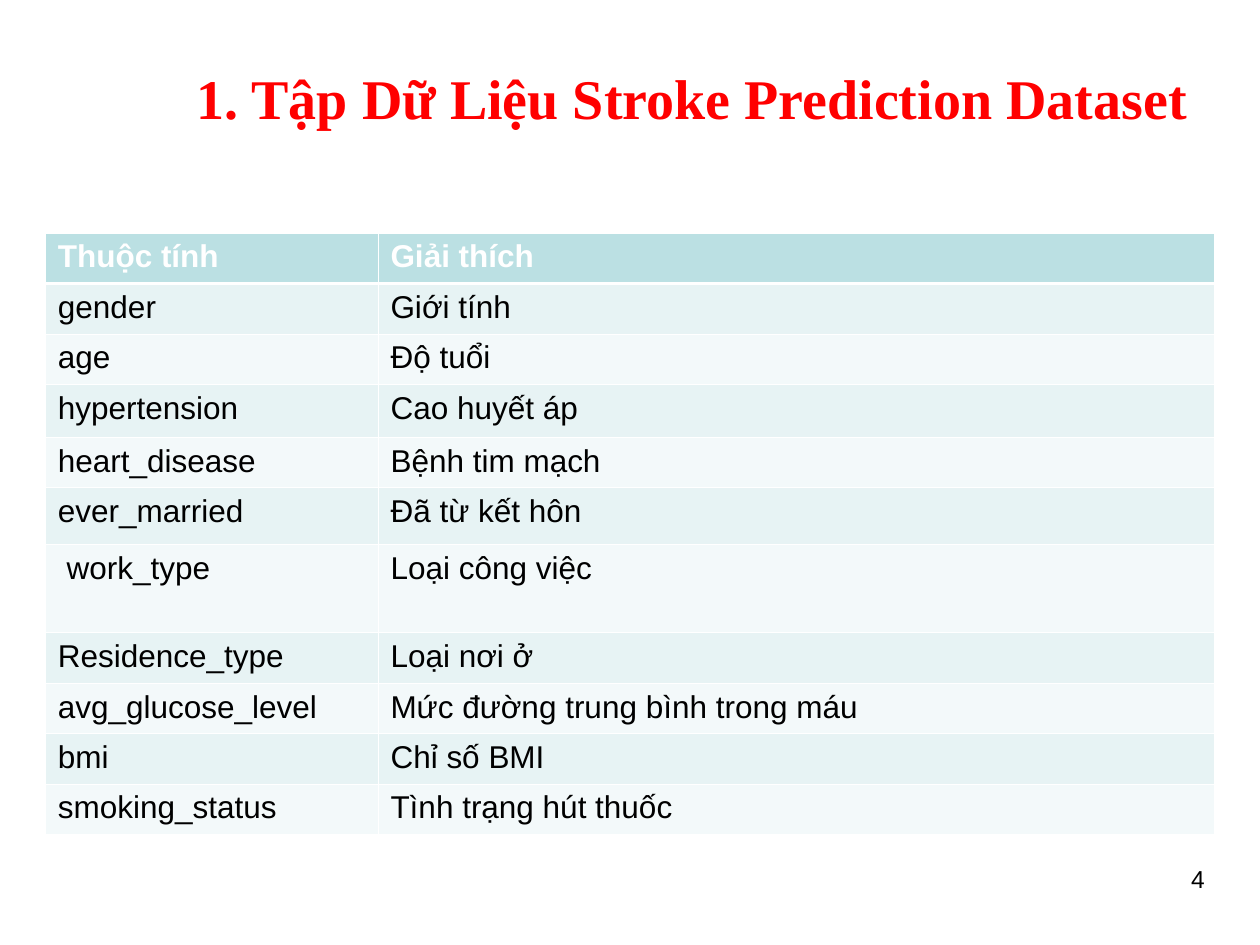
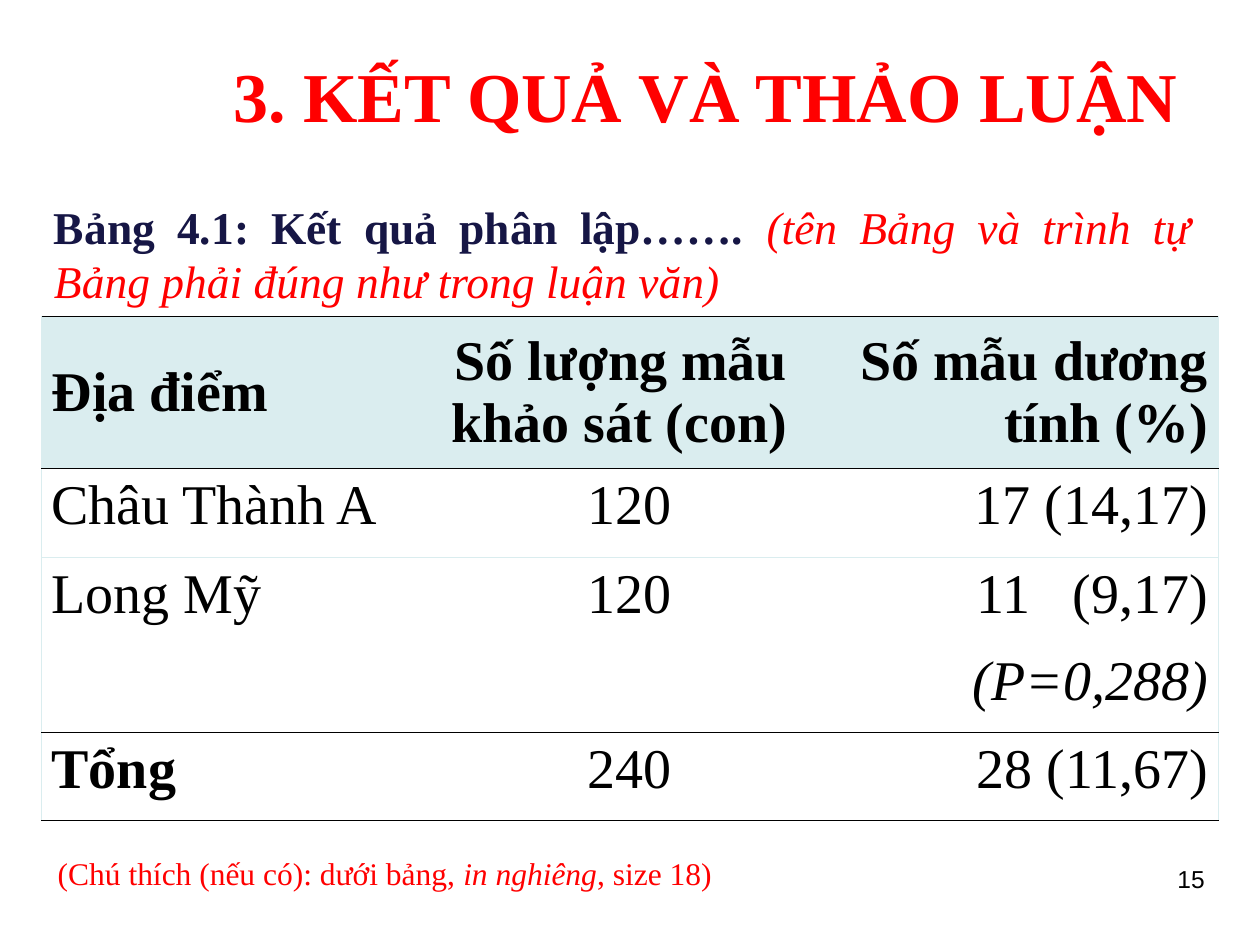
import lxml.etree
import pptx
import pptx.dml.color
import pptx.enum.text
import pptx.oxml.ns
import pptx.util

HUES = {"red": "FF0000", "navy": "161645", "black": "000000", "white": "FFFFFF",
        "teal": "BBE0E3", "mint": "E7F3F4", "ice": "F3F9FA", "pale": "DAEDEF"}
SERIF, SANS = "Times New Roman", "Arial"
ALIGN = pptx.enum.text.PP_ALIGN
ANCHOR = pptx.enum.text.MSO_ANCHOR
COLS, ROWS = 100, 75


def hue(name):
    return pptx.dml.color.RGBColor.from_string(HUES[name])


def write(frame, text, align=ALIGN.LEFT, **style):
    """Fill a frame with one paragraph; text is a string or (string, style changes) pairs."""
    para = frame.paragraphs[0]
    para.alignment = align
    for words, change in [(text, {})] if isinstance(text, str) else text:
        look = {"font": SERIF, "size": 18, "color": "black", **style, **change}
        run = para.add_run()
        run.text = words
        run.font.name = look["font"]
        run.font.size = pptx.util.Pt(look["size"])
        run.font.bold = look.get("bold", False)
        run.font.italic = look.get("slant", False)
        run.font.color.rgb = hue(look["color"])
        if "space" in look:
            run.font._element.set("spc", str(look["space"] * 100))


class Deck:
    """Holds the file and the current slide; lengths are grid columns and rows."""

    def __init__(self):
        self.file = pptx.Presentation()
        self.file.slide_width = pptx.util.Inches(10)
        self.file.slide_height = pptx.util.Inches(7.5)

    def wide(self, cols):
        return round(self.file.slide_width * cols / COLS)

    def high(self, rows):
        return round(self.file.slide_height * rows / ROWS)

    def place(self, left, top, width, height):
        return self.wide(left), self.high(top), self.wide(width), self.high(height)

    def start(self, title, area, size, number, wrap=True):
        """Add a slide with its title and page number."""
        self.slide = self.file.slides.add_slide(self.file.slide_layouts[5])
        head = self.slide.shapes.title
        head.left, head.top, head.width, head.height = self.place(*area)
        frame = head.text_frame
        frame.auto_size = pptx.enum.text.MSO_AUTO_SIZE.NONE
        frame.vertical_anchor = ANCHOR.TOP
        frame.word_wrap = wrap
        write(frame, title, ALIGN.CENTER, size=size, color="red", bold=True)
        self.box(number, (73.3, 68.1, 23.3, 6.1), align=ALIGN.RIGHT, font=SANS, size=14)

    def box(self, text, area, wrap=True, **style):
        frame = self.slide.shapes.add_textbox(*self.place(*area)).text_frame
        frame.word_wrap = wrap
        write(frame, text, **style)

    def table(self, left, top, widths, heights, across, down):
        """Add a bare table; across and down list the (color, points) lines or None."""
        area = self.place(left, top, sum(widths), sum(heights))
        grid = self.slide.shapes.add_table(len(heights), len(widths), *area).table
        grid.first_row = grid.horz_banding = False
        for col, width in zip(grid.columns, widths):
            col.width = self.wide(width)
        for row, height in zip(grid.rows, heights):
            row.height = self.high(height)
        for r in range(len(heights)):
            for c in range(len(widths)):
                sides = {"lnL": down[c], "lnR": down[c + 1],
                         "lnT": across[r], "lnB": across[r + 1]}
                for side, line in sides.items():
                    self.edge(grid.cell(r, c), side, line)
        return grid

    def edge(self, cell, side, line):
        name = pptx.oxml.ns.qn
        node = lxml.etree.SubElement(cell._tc.get_or_add_tcPr(), name(f"a:{side}"))
        if line is None:
            lxml.etree.SubElement(node, name("a:noFill"))
            return
        color, points = line
        node.set("w", str(pptx.util.Pt(points)))
        fill = lxml.etree.SubElement(node, name("a:solidFill"))
        lxml.etree.SubElement(fill, name("a:srgbClr")).set("val", HUES[color])

    def cell(self, cell, text, fill, pad=1, right=None, anchor=ANCHOR.TOP, **style):
        cell.fill.solid()
        cell.fill.fore_color.rgb = hue(fill)
        cell.margin_left = self.wide(pad)
        cell.margin_right = self.wide(pad if right is None else right)
        cell.vertical_anchor = anchor
        if text:
            write(cell.text_frame, text, **style)


def data(deck):
    deck.start("1. Tập Dữ Liệu Stroke Prediction Dataset", (14, 4.5, 81.9, 6.4), 32, "4")
    fields = [("Thuộc tính", "Giải thích"), ("gender", "Giới tính"), ("age", "Độ tuổi"),
              ("hypertension", "Cao huyết áp"), ("heart_disease", "Bệnh tim mạch"),
              ("ever_married", "Đã từ kết hôn"), ("work_type", "Loại công việc"),
              ("Residence_type", "Loại nơi ở"),
              ("avg_glucose_level", "Mức đường trung bình trong máu"),
              ("bmi", "Chỉ số BMI"), ("smoking_status", "Tình trạng hút thuốc")]
    heights = [4] * len(fields)
    heights[3], heights[5], heights[6] = 4.2, 4.5, 7
    thin = ("white", 0.45)
    across = [thin, ("white", 1.47)] + [thin] * (len(fields) - 1)
    grid = deck.table(3.6, 18.5, [26.4, 66.4], heights, across, [thin] * 3)
    for r, pair in enumerate(fields):
        head = r == 0
        fill = "teal" if head else ("ice", "mint")[r % 2]
        for c, text in enumerate(pair):
            deck.cell(grid.cell(r, c), text, fill, pad=1.7 if text == "work_type" else 1,
                      font=SANS, color="white" if head else "black", bold=head)


def result(deck):
    deck.start("3. KẾT QUẢ VÀ THẢO LUẬN", (17.4, 3.7, 77.2, 7.7), 40, "15", wrap=False)
    deck.box([("Bảng 4.1: Kết quả phân lập……. ", {"color": "navy", "bold": True}),
              ("(tên Bảng và trình tự Bảng phải đúng như trong luận văn)", {"slant": True})],
             (3.3, 15.3, 92.2, 9.7), align=ALIGN.JUSTIFY, size=26, color="red")
    count = [("11", {}), (" ", {"space": 16}), ("(9,17)", {})]
    sites = [("Địa điểm", "Số lượng mẫu khảo sát (con)", "Số mẫu dương tính (%)"),
             ("Châu Thành A", "120", "17 (14,17)"),
             ("Long Mỹ", "120", count),
             ("", "", [("(P=0,288)", {"slant": True})]),
             ("Tổng", "240", "28 (11,67)")]
    dark, faint = ("black", 0.45), ("pale", 0.23)
    grid = deck.table(3.3, 25.1, [29.3, 30.7, 33.4], [12.1, 7, 6.9, 7, 7],
                      [dark, dark, faint, None, dark, dark], [faint, None, None, faint])
    for r, site in enumerate(sites):
        head = r == 0
        for c, text in enumerate(site):
            deck.cell(grid.cell(r, c), text, "pale" if head else "white", pad=0.8,
                      right=10 if c == 1 and not head else 0.8,
                      anchor=ANCHOR.MIDDLE if head else ANCHOR.TOP,
                      align=ALIGN.RIGHT if c else ALIGN.LEFT,
                      size=32, bold=head or text == "Tổng")
    deck.box([("(Chú thích (nếu có): dưới bảng, ", {}), ("in nghiêng", {"slant": True}),
              (", size 18)", {})], (3.6, 67.3, 53.9, 4), wrap=False, color="red")


def main():
    deck = Deck()
    data(deck)
    result(deck)
    deck.file.save("out.pptx")


if __name__ == "__main__":
    main()
